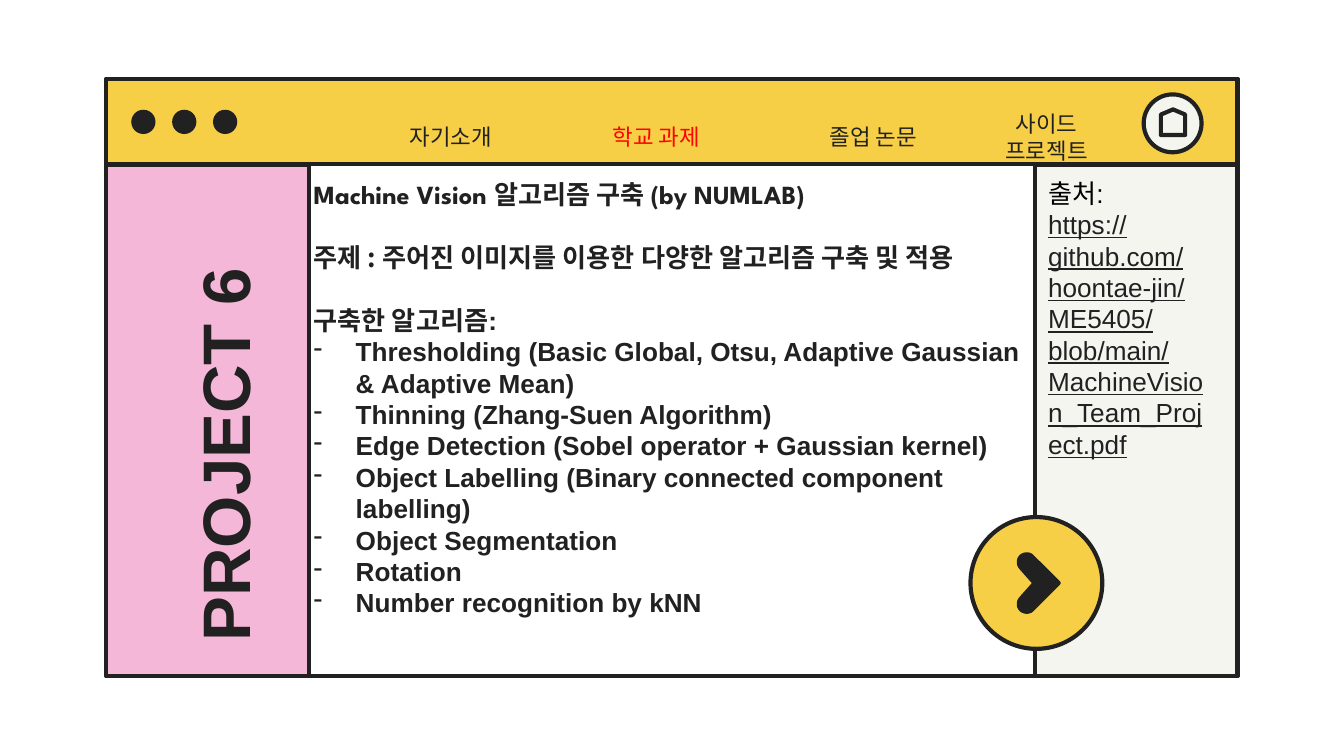
from pptx import Presentation
from pptx.dml.color import RGBColor
from pptx.enum.shapes import MSO_SHAPE
from pptx.enum.text import MSO_ANCHOR, PP_ALIGN
from pptx.oxml.xmlchemy import OxmlElement
from pptx.util import Pt

RECT, OVAL = MSO_SHAPE.RECTANGLE, MSO_SHAPE.OVAL
HOME = MSO_SHAPE.FLOWCHART_OFFPAGE_CONNECTOR
TOP, MIDDLE = MSO_ANCHOR.TOP, MSO_ANCHOR.MIDDLE
LEFT, CENTER = PP_ALIGN.LEFT, PP_ALIGN.CENTER
INK = {"dark": "212121", "white": "FFFFFF", "yellow": "F7CF46", "cream": "F5F5F0",
       "pink": "F4B7D8", "red": "FF0000", "black": "000000"}
SANS, HANGUL, SPARTAN = "Arial", "Noto Sans CJK KR", "League Spartan"


def color(name):
    return RGBColor.from_string(INK[name])


def curve(start, one, two, end, steps=10):
    result = []
    for step in range(1, steps + 1):
        t = step / steps
        u = 1 - t
        result.append(tuple(u**3 * a + 3 * u * u * t * b + 3 * u * t * t * c + t**3 * d
                            for a, b, c, d in zip(start, one, two, end)))
    return result


class Page:
    """Draws styled elements on one slide."""

    def __init__(self, slide, weight=2.25):
        self.slide = slide
        self.weight = weight

    def paint(self, shape, fill, line):
        shape.shadow.inherit = False
        if fill:
            shape.fill.solid()
            shape.fill.fore_color.rgb = color(fill)
        else:
            shape.fill.background()
        if line:
            shape.line.color.rgb = color("dark")
            shape.line.width = Pt(self.weight)
        else:
            shape.line.fill.background()

    def shape(self, kind, box, fill=None, line=True, turn=0):
        item = self.slide.shapes.add_shape(kind, *map(Pt, box))
        item.rotation = turn
        self.paint(item, fill, line)

    def outline(self, points, fill):
        pairs = [(Pt(x), Pt(y)) for x, y in points]
        pen = self.slide.shapes.build_freeform(*pairs[0])
        pen.add_line_segments(pairs[1:], close=True)
        self.paint(pen.convert_to_shape(), fill, False)

    def text(self, box, insets=(7.2, 7.2, 7.2, 7.2), anchor=TOP, turn=0):
        item = self.slide.shapes.add_textbox(*map(Pt, box))
        item.rotation = turn
        frame = item.text_frame
        frame.word_wrap = True
        frame.vertical_anchor = anchor
        (frame.margin_left, frame.margin_top,
         frame.margin_right, frame.margin_bottom) = map(Pt, insets)
        return frame

    def para(self, frame, runs, size=14, first=False, align=LEFT, before=0, bullet=False,
             ink="dark", bold=False, under=False):
        para = frame.paragraphs[0] if first else frame.add_paragraph()
        para.alignment = align
        if before:
            para.space_before = Pt(before)
        if bullet:
            self.dash(para)
        for words, face in runs:
            run = para.add_run()
            run.text = words
            font = run.font
            font.name, font.size, font.bold, font.underline = face, Pt(size), bold, under
            font.color.rgb = color(ink)
            asian = OxmlElement("a:ea")
            asian.set("typeface", HANGUL)
            run._r.get_or_add_rPr().append(asian)

    def dash(self, para):
        props = para._p.get_or_add_pPr()
        props.set("marL", str(Pt(22.5)))
        props.set("indent", str(-Pt(22.5)))
        tint = OxmlElement("a:buClr")
        value = OxmlElement("a:srgbClr")
        value.set("val", INK["dark"])
        tint.append(value)
        mark = OxmlElement("a:buChar")
        mark.set("char", "-")
        props.append(tint)
        props.append(mark)


def main():
    deck = Presentation()
    deck.slide_width, deck.slide_height = Pt(720), Pt(405)
    page = Page(deck.slides.add_slide(deck.slide_layouts[6]))

    page.shape(RECT, (57, 42.4, 606, 319.7), "white")
    page.shape(RECT, (57, 42.4, 606, 45.6), "yellow")
    for dot in range(3):
        page.shape(OVAL, (70.3 + 21.9 * dot, 58.8, 13, 13), "dark", line=False)
    for left, fill in ((554.6, "cream"), (57, "pink")):
        page.shape(RECT, (left, 88.3, 108.4, 273.8), fill)

    title = page.text((-2.9, 197.7, 245.5, 60.5), anchor=MIDDLE, turn=270)
    page.para(title, [("PROJECT 6", SANS)], size=36, first=True, bold=True)

    page.shape(OVAL, (519.9, 277, 70.6, 70.6), "yellow")
    notch, corner, crown, edge = (552.8, 312.4), (546.5, 305.3), (550.1, 295.9), (553.7, 297.4)
    upper = [notch, corner]
    upper += curve(corner, (542.9, 301.7), (545, 295.9), crown)
    upper += curve(crown, (551.4, 295.9), (552.8, 296.4), edge)
    upper += [(567.9, 311.5), (568.3, 312.4)]
    lower = [(x, 2 * notch[1] - y) for x, y in upper[-2:0:-1]]
    page.outline(upper + lower, "dark")

    page.shape(OVAL, (612.7, 50.6, 31, 31), "cream")
    page.shape(HOME, (621.9, 58.6, 13, 13.7), turn=180)

    tabs = (("자기소개", 187.9, 107.3, "dark"), ("학교 과제", 294.8, 113.8, "red"),
            ("졸업 논문", 408.5, 118.8, "dark"), ("사이드 프로젝트", 527.2, 67, "dark"))
    for label, left, width, ink in tabs:
        frame = page.text((left, 58.3, width, 15.8), (7.2, 14.4, 7.2, 0), MIDDLE)
        page.para(frame, [(label, HANGUL)], size=12, first=True, align=CENTER, ink=ink)

    source = page.text((554.4, 91.4, 103, 143.3), (7.2, 3.6, 7.2, 3.6))
    page.para(source, [("출처:", SANS)], first=True, ink="black")
    link = "https://github.com/hoontae-jin/ME5405/blob/main/MachineVision_Team_Project.pdf"
    page.para(source, [(link, SANS)], under=True)

    body = page.text((161, 88.6, 401, 158.4))
    heads = ([("Machine Vision ", SPARTAN), ("알고리즘 구축 ", SANS), ("(by NUMLAB)", SPARTAN)],
             [("주제 : 주어진 이미지를 이용한 다양한 알고리즘 구축 및 적용", HANGUL)],
             [("구축한 알고리즘:", SANS)])
    for index, runs in enumerate(heads):
        page.para(body, runs, first=index == 0, before=16.8 if index else 0, bold=True)
    steps = ("Thresholding (Basic Global, Otsu, Adaptive Gaussian & Adaptive Mean)",
             "Thinning (Zhang-Suen Algorithm)",
             "Edge Detection (Sobel operator + Gaussian kernel)",
             "Object Labelling (Binary connected component labelling)",
             "Object Segmentation", "Rotation", "Number recognition by kNN")
    for step in steps:
        page.para(body, [(step, SANS)], bullet=True, bold=True)

    deck.save("out.pptx")


if __name__ == "__main__":
    main()
